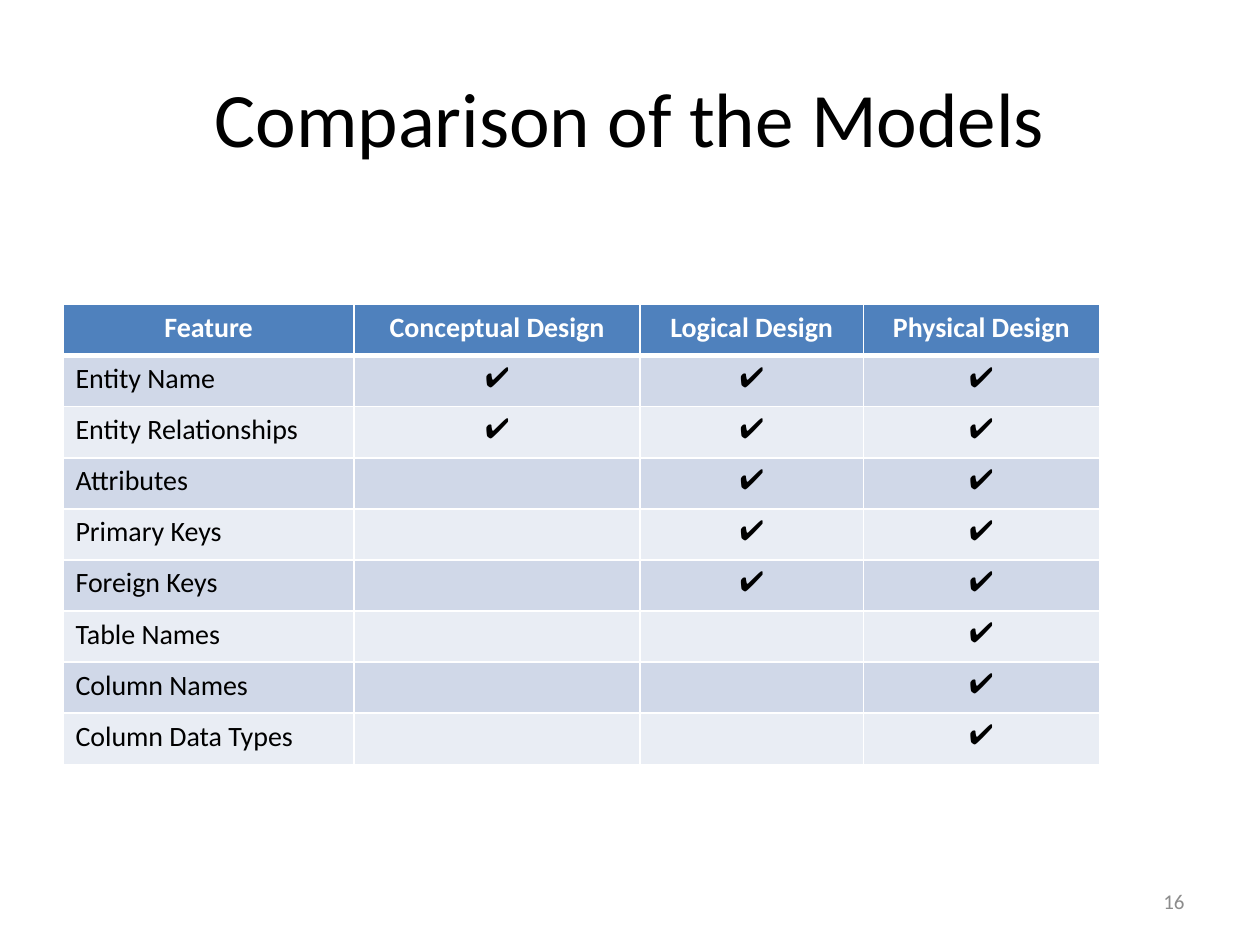
from lxml import etree
from pptx import Presentation
from pptx.dml.color import RGBColor
from pptx.enum import text
from pptx.oxml import ns
from pptx.util import Pt

COLORS = {
    "black": "000000",
    "white": "FFFFFF",
    "header": "4F81BD",
    "odd": "D0D8E8",
    "even": "E9EDF4",
    "number": "8C8C8C",
}
DESIGNS = ["Conceptual Design", "Logical Design", "Physical Design"]
FEATURES = [
    ("Entity Name", 3),
    ("Entity Relationships", 3),
    ("Attributes", 2),
    ("Primary Keys", 2),
    ("Foreign Keys", 2),
    ("Table Names", 1),
    ("Column Names", 1),
    ("Column Data Types", 1),
]
COL_WIDTHS = [166.4, 163.4, 127.6, 134.8]
ROW_HEIGHT = 29.2


def rgb(name):
    return RGBColor.from_string(COLORS[name])


def write(tf, words, size, color, align, font="Calibri", bold=False):
    tf.text = words
    p = tf.paragraphs[0]
    p.alignment = align
    for r in p.runs:
        r.font.name = font
        r.font.size = Pt(size)
        r.font.bold = bold
        r.font.color.rgb = rgb(color)


def add_text(s, box, words, size, color, align):
    sp = s.shapes.add_textbox(*map(Pt, box))
    tf = sp.text_frame
    tf.word_wrap = True
    tf.vertical_anchor = text.MSO_ANCHOR.MIDDLE
    write(tf, words, size, color, align)


def set_borders(cell, top, bottom):
    tc_pr = cell._tc.get_or_add_tcPr()
    for side, width in (("L", 1), ("R", 1), ("T", top), ("B", bottom)):
        ln = etree.SubElement(tc_pr, ns.qn(f"a:ln{side}"), w=str(Pt(width)))
        fill = etree.SubElement(ln, ns.qn("a:solidFill"))
        etree.SubElement(fill, ns.qn("a:srgbClr"), val=COLORS["white"])


def style_cell(cell, row):
    set_borders(cell, 3 if row == 1 else 1, 3 if row == 0 else 1)
    fill = "header" if row == 0 else "odd" if row % 2 else "even"
    cell.fill.solid()
    cell.fill.fore_color.rgb = rgb(fill)


def add_comparison(s, left, top):
    rows = [["Feature"] + DESIGNS]
    for feature, checks in FEATURES:
        blanks = len(DESIGNS) - checks
        rows.append([feature] + [""] * blanks + ["✔"] * checks)
    table = s.shapes.add_table(
        len(rows), len(COL_WIDTHS), Pt(left), Pt(top),
        Pt(sum(COL_WIDTHS)), Pt(ROW_HEIGHT * len(rows))).table
    for col, width in zip(table.columns, COL_WIDTHS):
        col.width = Pt(width)
    for i, row in enumerate(rows):
        table.rows[i].height = Pt(ROW_HEIGHT)
        for j, words in enumerate(row):
            cell = table.cell(i, j)
            style_cell(cell, i)
            header, label = i == 0, j == 0
            write(cell.text_frame, words, 16,
                  "white" if header else "black",
                  text.PP_ALIGN.LEFT if label and not header else text.PP_ALIGN.CENTER,
                  "Calibri" if header or label else "Arial", header)


def main():
    prs = Presentation()
    prs.slide_width, prs.slide_height = Pt(720), Pt(540)
    s = prs.slides.add_slide(prs.slide_layouts[6])
    add_text(s, (36, 21.6, 648, 90), "Comparison of the Models", 44, "black",
             text.PP_ALIGN.CENTER)
    add_comparison(s, 36, 174)
    add_text(s, (516, 500.5, 168, 28.75), "16", 12, "number",
             text.PP_ALIGN.RIGHT)
    prs.save("out.pptx")


if __name__ == "__main__":
    main()
